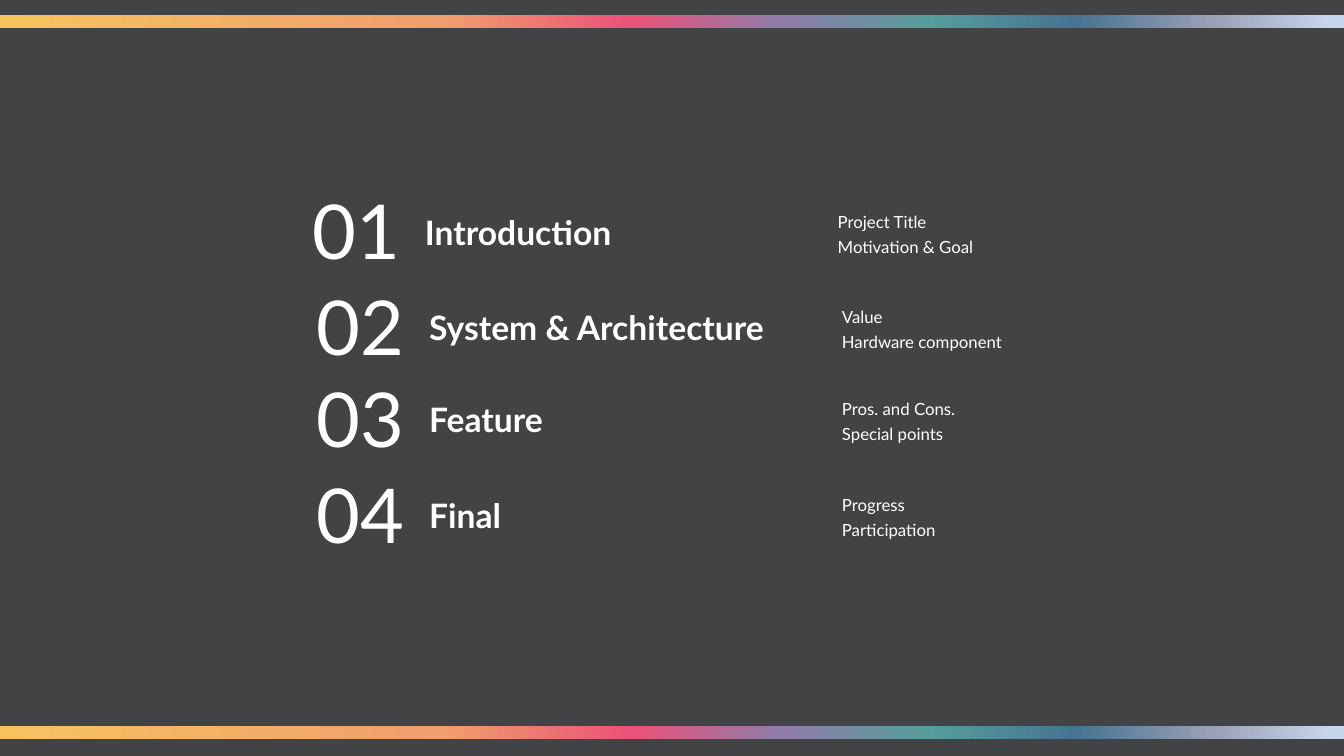
from lxml import etree
from pptx import Presentation
from pptx.dml.color import RGBColor
from pptx.enum.shapes import MSO_SHAPE
from pptx.enum.text import MSO_AUTO_SIZE, PP_ALIGN
from pptx.oxml.ns import qn
from pptx.util import Pt

RECTANGLE = MSO_SHAPE.RECTANGLE
GROW = MSO_AUTO_SIZE.SHAPE_TO_FIT_TEXT
LEFT, CENTER = PP_ALIGN.LEFT, PP_ALIGN.CENTER

SLIDE_W, SLIDE_H = 960, 540
FONT = "Lato"
BLANK_LAYOUT = 6
COLORS = {
    "background": "424344",
    "text": "FFFFFF",
    "yellow": "F6C35F",
    "orange": "F09E6D",
    "pink": "EB5278",
    "purple": "8F7CA9",
    "teal": "579D9B",
    "blue": "467391",
    "grey": "999FB5",
    "pale": "C7D5ED",
}
# Percent along the band, colour name
RAINBOW = [(0, "yellow"), (33, "orange"), (47, "pink"), (58, "purple"),
           (69, "teal"), (80, "blue"), (90, "grey"), (99, "pale")]

BAND_TOPS = (11, 518.5)
BAND_H = 9.3

# Left, top, heading width, heading, details
AGENDA = [
    (213, 128.1, 271.5, "Introduction", ("Project Title", "Motivation & Goal")),
    (216, 196.4, 280, "System & Architecture", ("Value", "Hardware component")),
    (216, 262.1, 271.5, "Feature", ("Pros. and Cons.", "Special points")),
    (216, 330.6, 271.5, "Final", ("Progress", "Participation")),
]
NUMBER_W, NUMBER_H = 83.5, 72.7
HEADING_H = 36.3
DETAIL_W, DETAIL_H = 188.6, 21.8
DETAIL_OFFSET = 378.3   # from the row's left edge
TEXT_DROP = 19.5        # from the row's top edge
DETAIL_STEP = 17.6


def add_text(slide, text, left, top, width, height, *, size, bold=False,
             align=LEFT):
    frame = slide.shapes.add_textbox(
        Pt(left), Pt(top), Pt(width), Pt(height)).text_frame
    frame.word_wrap = True
    frame.auto_size = GROW
    paragraph = frame.paragraphs[0]
    paragraph.alignment = align
    run = paragraph.add_run()
    run.text = text
    run.font.name = FONT
    run.font.size = Pt(size)
    run.font.bold = bold
    run.font.color.rgb = RGBColor.from_string(COLORS["text"])


def add_rainbow_band(slide, top):
    band = slide.shapes.add_shape(
        RECTANGLE, 0, Pt(top), Pt(SLIDE_W), Pt(BAND_H))
    band.shadow.inherit = False
    band.line.fill.background()
    band.fill.gradient()
    band.fill.gradient_angle = 0
    # The default gradient has two stops, so the list is refilled
    stops = band.element.spPr.find(qn("a:gradFill")).find(qn("a:gsLst"))
    for stop in list(stops):
        stops.remove(stop)
    for percent, color in RAINBOW:
        stop = etree.SubElement(stops, qn("a:gs"), pos=str(percent * 1000))
        etree.SubElement(stop, qn("a:srgbClr"), val=COLORS[color])


def add_agenda_row(slide, number, left, top, heading_w, heading, details):
    text_top = top + TEXT_DROP
    add_text(slide, f"{number:02}", left, top, NUMBER_W, NUMBER_H,
             size=54, align=CENTER)
    add_text(slide, heading, left + NUMBER_W, text_top, heading_w, HEADING_H,
             size=24, bold=True)
    for index, detail in enumerate(details):
        add_text(slide, detail, left + DETAIL_OFFSET,
                 text_top + index * DETAIL_STEP, DETAIL_W, DETAIL_H, size=12)


def main():
    deck = Presentation()
    deck.slide_width, deck.slide_height = Pt(SLIDE_W), Pt(SLIDE_H)
    slide = deck.slides.add_slide(deck.slide_layouts[BLANK_LAYOUT])

    # Background
    backdrop = slide.background.fill
    backdrop.solid()
    backdrop.fore_color.rgb = RGBColor.from_string(COLORS["background"])

    # Bands at the top and bottom
    for top in BAND_TOPS:
        add_rainbow_band(slide, top)

    # Agenda
    for number, row in enumerate(AGENDA, start=1):
        add_agenda_row(slide, number, *row)

    deck.save("out.pptx")


if __name__ == "__main__":
    main()
